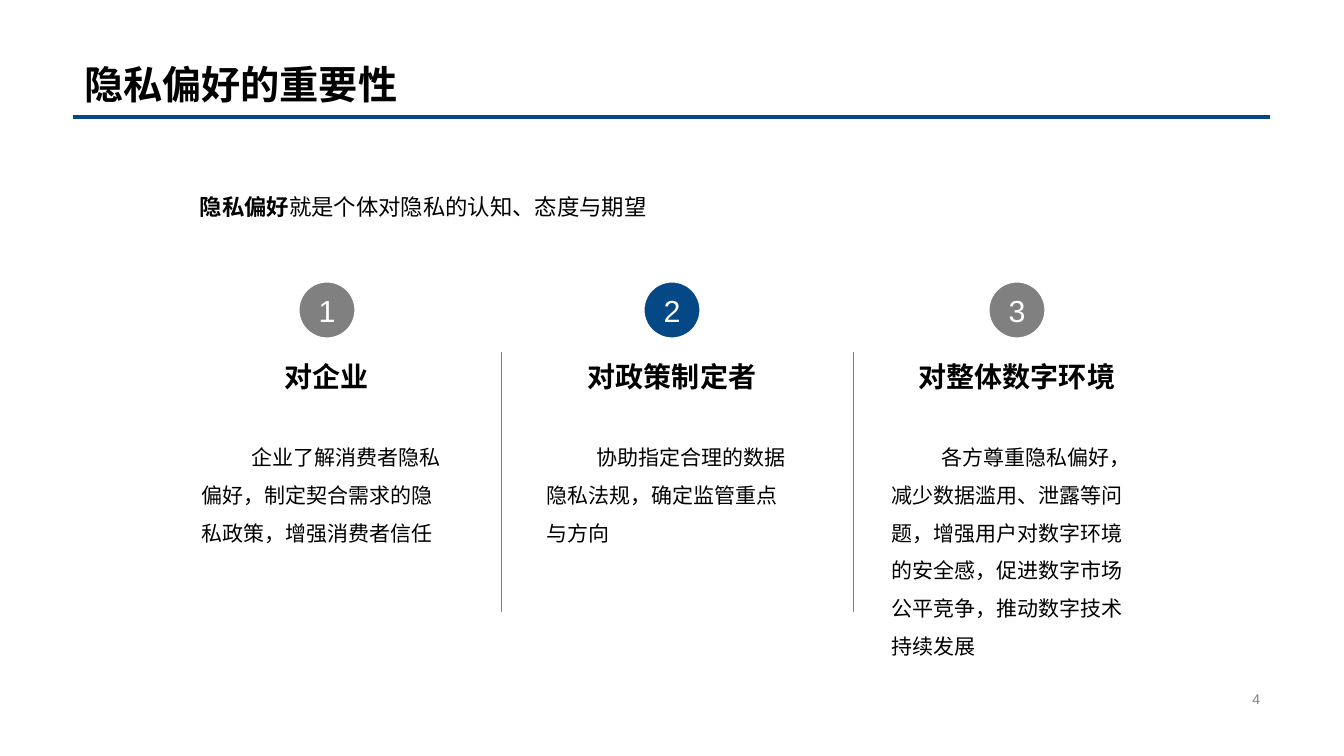
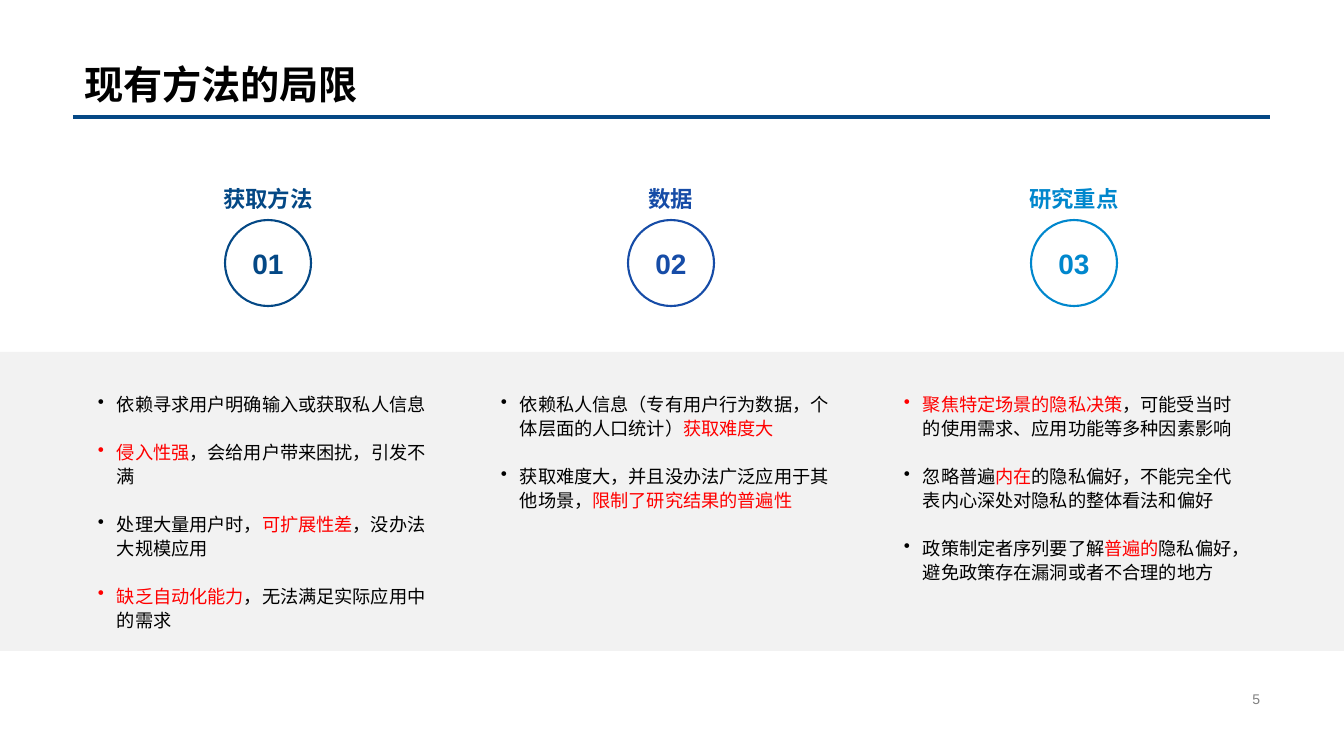
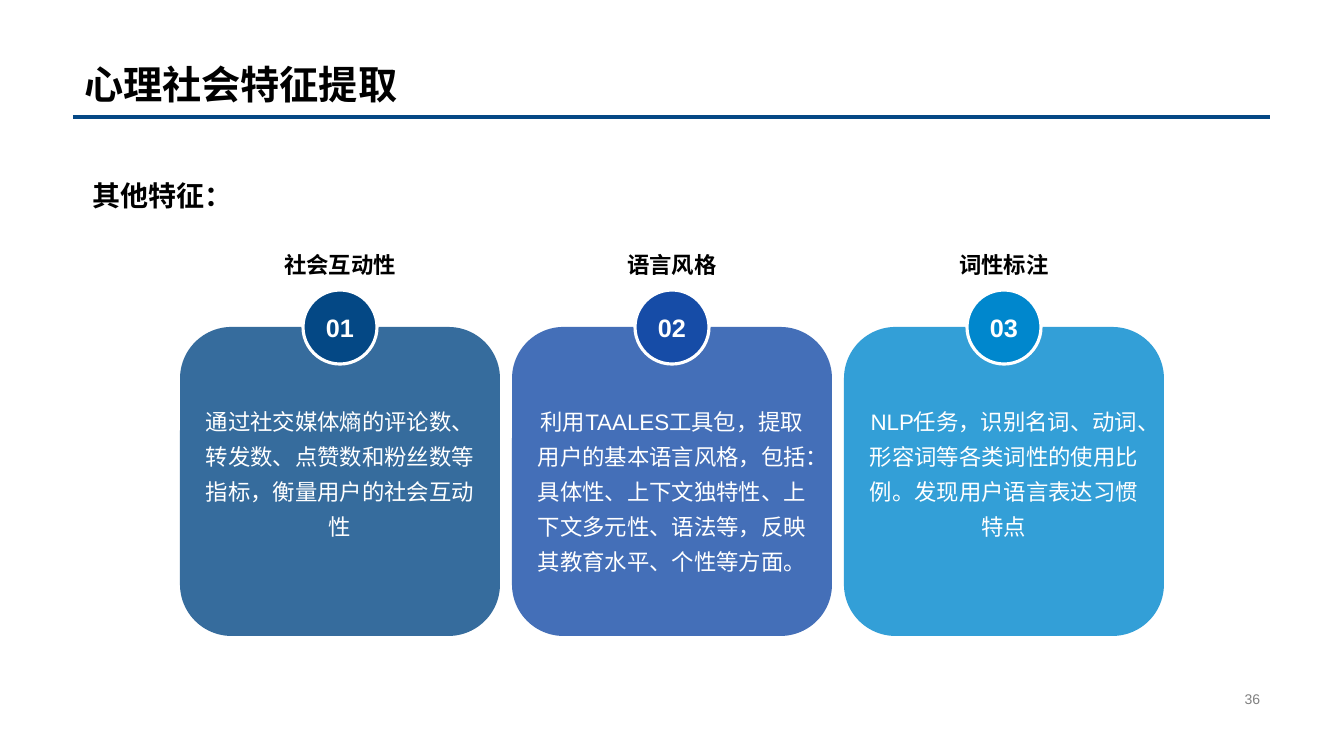
import dataclasses

import lxml.etree
import pptx
import pptx.dml.color
import pptx.enum.lang
import pptx.enum.shapes
import pptx.enum.text
import pptx.oxml.ns
import pptx.util

SHAPE = pptx.enum.shapes.MSO_SHAPE
ALIGN = pptx.enum.text.PP_ALIGN
ANCHOR = pptx.enum.text.MSO_ANCHOR
CHINESE = pptx.enum.lang.MSO_LANGUAGE_ID.SIMPLIFIED_CHINESE
EMU_PER_PX = 914400 / 100.8


@dataclasses.dataclass(frozen=True)
class Theme:
    font: str = "Arial"
    intro_font: str = "Inter"
    black: str = "000000"
    white: str = "FFFFFF"
    gray: str = "808080"
    band: str = "F2F2F2"
    red: str = "FF0000"
    navy: str = "044885"
    blue: str = "164CA7"
    sky: str = "0087CD"
    title: float = 28
    heading: float = 20
    label: float = 16
    body: float = 15
    bullet: float = 13
    number: float = 10
    step: float = 21.7
    badge: float = 18


THEME = Theme()
ACCENTS = (THEME.navy, THEME.blue, THEME.sky)

IMPORTANCE = {
    "title": "隐私偏好的重要性",
    "number": 4,
    "intro": "*隐私偏好*就是个体对隐私的认知、态度与期望",
    "columns": [
        ("对企业", "企业了解消费者隐私偏好，制定契合需求的隐私政策，增强消费者信任", THEME.gray),
        ("对政策制定者", "协助指定合理的数据隐私法规，确定监管重点与方向", THEME.navy),
        ("对整体数字环境", "各方尊重隐私偏好，减少数据滥用、泄露等问题，增强用户对数字环境的安全感，"
         "促进数字市场公平竞争，推动数字技术持续发展", THEME.gray),
    ],
}
LIMITS = {
    "title": "现有方法的局限",
    "number": 5,
    "columns": [
        ("获取方法", [
            "依赖寻求用户明确输入或获取私人信息",
            "*侵入性强*，会给用户带来困扰，引发不满",
            "处理大量用户时，*可扩展性差*，没办法大规模应用",
            "*缺乏自动化能力*，无法满足实际应用中的需求",
        ]),
        ("数据", [
            "依赖私人信息（专有用户行为数据，个体层面的人口统计）*获取难度大*",
            "获取难度大，并且没办法广泛应用于其他场景，*限制了研究结果的普遍性*",
        ]),
        ("研究重点", [
            "*聚焦特定场景的隐私决策*，可能受当时的使用需求、应用功能等多种因素影响",
            "忽略普遍*内在*的隐私偏好，不能完全代表内心深处对隐私的整体看法和偏好",
            "政策制定者序列要了解*普遍的*隐私偏好，避免政策存在漏洞或者不合理的地方",
        ]),
    ],
}
FEATURES = {
    "title": "心理社会特征提取",
    "number": 36,
    "heading": "其他特征：",
    "cards": [
        ("社会互动性", "通过社交媒体熵的评论数、转发数、点赞数和粉丝数等指标，衡量用户的社会互动性"),
        ("语言风格", "利用TAALES工具包，提取用户的基本语言风格，包括：具体性、上下文独特性、"
         "上下文多元性、语法等，反映其教育水平、个性等方面。"),
        ("词性标注", "NLP任务，识别名词、动词、形容词等各类词性的使用比例。发现用户语言表达习惯特点"),
    ],
}


def px(length):
    return pptx.util.Emu(round(length * EMU_PER_PX))


def box(left, top, width, height):
    return px(left), px(top), px(width), px(height)


def centered(center, top, width, height):
    return box(center - width / 2, top, width, height)


def rgb(color):
    return pptx.dml.color.RGBColor.from_string(color)


def format_run(run, size, color, bold=False, font=THEME.font):
    run.font.name = font
    run.font.size = pptx.util.Pt(size)
    run.font.bold = bold
    run.font.color.rgb = rgb(color)
    run.font.language_id = CHINESE


def write(shape, text, size, color=THEME.black, bold=False, align=ALIGN.LEFT,
          anchor=ANCHOR.TOP, spacing=None, indent=0):
    frame = shape.text_frame
    frame.text = text
    frame.word_wrap = True
    frame.vertical_anchor = anchor
    paragraph = frame.paragraphs[0]
    paragraph.alignment = align
    paragraph.line_spacing = spacing
    if indent:
        paragraph._p.get_or_add_pPr().set("indent", str(px(indent)))
    for run in paragraph.runs:
        format_run(run, size, color, bold)


def add_text(slide, place, text, size, **style):
    shape = slide.shapes.add_textbox(*place)
    write(shape, text, size, **style)
    return shape


def add_label(slide, place, text, size, color=THEME.black):
    add_text(slide, place, text, size, color=color, bold=True,
             align=ALIGN.CENTER, anchor=ANCHOR.MIDDLE)


def split_emphasis(text):
    parts = enumerate(text.split("*"))
    return [(part, index % 2 == 1) for index, part in parts if part]


def add_shape(slide, kind, place, fill, line=None, width=0):
    shape = slide.shapes.add_shape(kind, *place)
    shape.shadow.inherit = False
    shape.fill.solid()
    shape.fill.fore_color.rgb = rgb(fill)
    if line:
        shape.line.color.rgb = rgb(line)
        shape.line.width = pptx.util.Pt(width)
    else:
        shape.line.fill.background()
    return shape


def add_circle(slide, center, top, diameter, text, size, fill, line, width, color, bold=True):
    circle = add_shape(slide, SHAPE.OVAL, centered(center, top, diameter, diameter),
                       fill, line, width)
    write(circle, text, size, color=color, bold=bold, align=ALIGN.CENTER, anchor=ANCHOR.MIDDLE)
    circle.text_frame.word_wrap = False


def add_line(slide, start, end, color, width):
    line = slide.shapes.add_connector(pptx.enum.shapes.MSO_CONNECTOR.STRAIGHT,
                                      *map(px, start + end))
    line.line.color.rgb = rgb(color)
    line.line.width = pptx.util.Pt(width)
    lxml.etree.SubElement(line._element.spPr, pptx.oxml.ns.qn("a:effectLst"))


def add_bullets(slide, place, items):
    frame = slide.shapes.add_textbox(*place).text_frame
    frame.word_wrap = True
    for index, item in enumerate(items):
        paragraph = frame.add_paragraph() if index else frame.paragraphs[0]
        properties = paragraph._p.get_or_add_pPr()
        properties.set("marL", str(px(19)))
        properties.set("indent", str(px(-19)))
        bullet = lxml.etree.SubElement(properties, pptx.oxml.ns.qn("a:buChar"))
        bullet.set("char", "•")
        paragraph.line_spacing = 1.1
        if index:
            paragraph.space_before = pptx.util.Pt(17)
        for text, emphasis in split_emphasis(item):
            run = paragraph.add_run()
            run.text = text
            format_run(run, THEME.bullet, THEME.red if emphasis else THEME.black)


def start_slide(presentation, content):
    slide = presentation.slides.add_slide(presentation.slide_layouts[5])
    title = slide.shapes.title
    title.left, title.top, title.width, title.height = box(74, 0, 1196, 113)
    write(title, content["title"], THEME.title, bold=True, anchor=ANCHOR.BOTTOM, spacing=0.9)
    title.text_frame.auto_size = pptx.enum.text.MSO_AUTO_SIZE.NONE
    add_line(slide, (73, 117), (1270, 117), THEME.navy, 3)
    add_text(slide, box(950, 687, 320, 24), str(content["number"]), THEME.number,
             color=THEME.gray, align=ALIGN.RIGHT, anchor=ANCHOR.MIDDLE)
    return slide


def build_importance(presentation, content):
    slide = start_slide(presentation, content)
    intro = add_text(slide, box(140, 175, 623, 278), "", THEME.label, spacing=1.5, indent=50)
    for text, emphasis in split_emphasis(content["intro"]):
        run = intro.text_frame.paragraphs[0].add_run()
        run.text = text
        format_run(run, THEME.label, THEME.black, emphasis, THEME.intro_font)
    for index, (heading, body, color) in enumerate(content["columns"]):
        center = 327 + index * 345
        add_circle(slide, center, 281, 58, str(index + 1), THEME.step,
                   color, THEME.white, 2.25, THEME.white, bold=False)
        add_label(slide, centered(center, 339, 271, 74), heading, THEME.heading)
        add_text(slide, centered(center, 427, 271, 278), body, THEME.body,
                 spacing=1.5, indent=50)
        if index:
            divider = 149 + index * 352
            add_line(slide, (divider, 352), (divider, 612), THEME.gray, 0.5)


def build_limits(presentation, content):
    slide = start_slide(presentation, content)
    add_shape(slide, SHAPE.RECTANGLE, box(0, 352, 1344, 299), THEME.band)
    for index, ((label, items), color) in enumerate(zip(content["columns"], ACCENTS)):
        center = 268 + index * 403
        add_label(slide, centered(center, 178, 351, 41), label, THEME.label, color)
        add_circle(slide, center, 220, 86, f"{index + 1:02}", THEME.heading,
                   THEME.white, color, 1.5, color)
        add_bullets(slide, centered(center, 386, 360, 227), items)


def build_features(presentation, content):
    slide = start_slide(presentation, content)
    add_label(slide, box(22, 172, 281, 46), content["heading"], THEME.heading)
    for index, ((label, body), color) in enumerate(zip(content["cards"], ACCENTS)):
        center = 340 + index * 332
        card = add_shape(slide, SHAPE.ROUNDED_RECTANGLE, centered(center, 327, 320, 309), color)
        fill = card._element.spPr.find(".//" + pptx.oxml.ns.qn("a:srgbClr"))
        lxml.etree.SubElement(fill, pptx.oxml.ns.qn("a:alpha")).set("val", "80000")
        add_circle(slide, center, 290, 74, f"{index + 1:02}", THEME.badge,
                   color, THEME.white, 2.25, THEME.white)
        add_label(slide, centered(center, 242, 281, 46), label, THEME.label)
        add_text(slide, centered(center, 395, 292, 92), body, THEME.label,
                 color=THEME.white, align=ALIGN.CENTER, spacing=1.3)


def main():
    presentation = pptx.Presentation()
    presentation.slide_width = px(1344)
    presentation.slide_height = px(756)
    build_importance(presentation, IMPORTANCE)
    build_limits(presentation, LIMITS)
    build_features(presentation, FEATURES)
    presentation.save("out.pptx")


if __name__ == "__main__":
    main()
